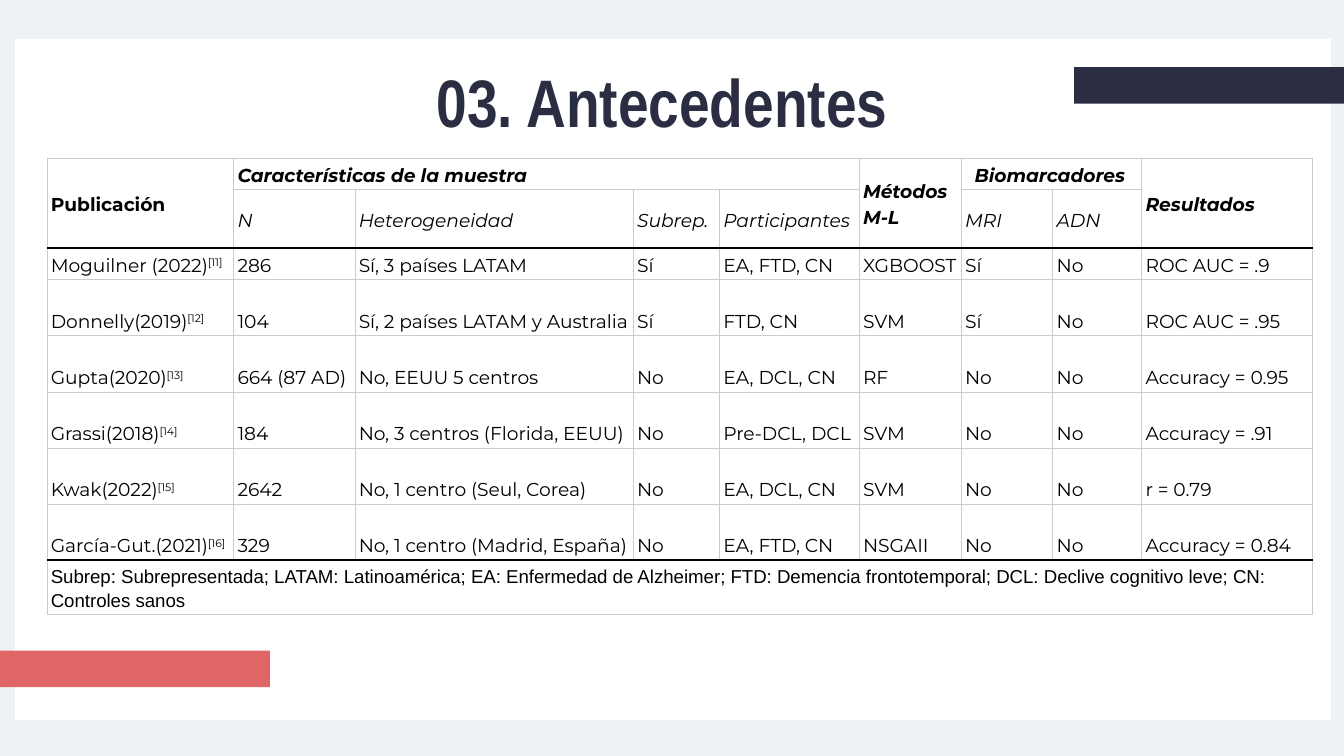
from lxml.etree import SubElement
from pptx import Presentation
from pptx.dml.color import RGBColor
from pptx.enum.shapes import MSO_SHAPE as Preset
from pptx.enum.text import MSO_ANCHOR as Anchor, PP_ALIGN as Align
from pptx.oxml.ns import qn
from pptx.util import Cm, Pt

NAVY, CORAL, PALE, WHITE = "2B2D42", "E06666", "EDF2F4", "FFFFFF"
BLACK, GREY = "000000", "CCCCCC"

COLUMNS = [3.53, 2.29, 5.26, 1.63, 2.64, 1.93, 1.73, 1.68, 3.23]
ROWS = [0.6, 1.1, 0.6] + [1.06] * 5 + [1.02]
# row, column, text, italic, row span, column span, side margin
GROUPS = [
    (0, 0, "Publicación", False, 2, 1, 0.07),
    (0, 1, "Características de la muestra", True, 1, 4, 0.07),
    (0, 5, "Métodos M-L", True, 2, 1, 0.07),
    (0, 6, "Biomarcadores", True, 1, 2, 0.25),
    (0, 8, "Resultados", True, 2, 1, 0.07),
]
SUBHEADS = {1: "N", 2: "Heterogeneidad", 3: "Subrep.", 4: "Participantes",
            6: "MRI", 7: "ADN"}
STUDIES = [
    ("Moguilner (2022)", "286", "Sí, 3 países LATAM", "Sí", "EA, FTD, CN",
     "XGBOOST", "Sí", "No", "ROC AUC = .9"),
    ("Donnelly(2019)", "104", "Sí, 2 países LATAM y Australia", "Sí", "FTD, CN",
     "SVM", "Sí", "No", "ROC AUC = .95"),
    ("Gupta(2020)", "664 (87 AD)", "No, EEUU 5 centros", "No", "EA, DCL, CN",
     "RF", "No", "No", "Accuracy = 0.95"),
    ("Grassi(2018)", "184", "No, 3 centros (Florida, EEUU)", "No", "Pre-DCL, DCL",
     "SVM", "No", "No", "Accuracy = .91"),
    ("Kwak(2022)", "2642", "No, 1 centro (Seul, Corea)", "No", "EA, DCL, CN",
     "SVM", "No", "No", "r = 0.79"),
    ("García-Gut.(2021)", "329", "No, 1 centro (Madrid, España)", "No", "EA, FTD, CN",
     "NSGAII", "No", "No", "Accuracy = 0.84"),
]
FIRST_REFERENCE = 11
FIRST_STUDY_ROW = 2
ABBREVIATIONS = (
    "Subrep: Subrepresentada; LATAM: Latinoamérica; EA: Enfermedad de Alzheimer; "
    "FTD: Demencia frontotemporal; DCL: Declive cognitivo leve; CN: Controles sanos"
)


def color(value):
    return RGBColor.from_string(value)


def add_span(para, text, name="Montserrat", size=10, ink=BLACK, bold=False, italic=False):
    span = para.add_run()
    span.text = text
    font = span.font
    font.name, font.size, font.bold, font.italic = name, Pt(size), bold, italic
    font.color.rgb = color(ink)
    return span


def add_block(page, left, top, width, height, fill):
    block = page.shapes.add_shape(Preset.RECTANGLE, Cm(left), Cm(top), Cm(width), Cm(height))
    block.shadow.inherit = False
    block.fill.solid()
    block.fill.fore_color.rgb = color(fill)
    block.line.fill.background()


def add_backdrop(page, width, height):
    page.background.fill.solid()
    page.background.fill.fore_color.rgb = color(PALE)
    bar_width, bar_height = 5.1, 0.69
    add_block(page, 0.28, 0.73, width - 0.52, height - 1.4, WHITE)
    add_block(page, 0, height - 1.99, bar_width, bar_height, CORAL)
    add_block(page, width - bar_width, 1.27, bar_width, bar_height, NAVY)


def place_title(page, left, top, width, height):
    title = page.shapes.title
    title.element.getparent().append(title.element)  # in front of the white panel
    title.left, title.top, title.width, title.height = map(Cm, (left, top, width, height))
    frame = title.text_frame
    frame.vertical_anchor = Anchor.MIDDLE
    frame.margin_left = frame.margin_right = Cm(0.25)
    frame.margin_top = frame.margin_bottom = Cm(0.25)
    para = frame.paragraphs[0]
    para.alignment = Align.LEFT
    add_span(para, "03. Antecedentes", "Arial Narrow", 36, NAVY, bold=True)


def set_borders(cell, top, bottom):
    """Grey cell outline; top and bottom tell which edges are heavy black rules."""
    properties = cell._tc.get_or_add_tcPr()
    for side, heavy in (("L", False), ("R", False), ("T", top), ("B", bottom)):
        width = Pt(1.25) if heavy else Pt(0.62)
        line = SubElement(properties, qn(f"a:ln{side}"), w=str(int(width)))
        fill = SubElement(line, qn("a:solidFill"))
        SubElement(fill, qn("a:srgbClr"), val=BLACK if heavy else GREY)


def prepare_cell(cell, anchor, margin=0.07):
    """Formats the cell and returns its paragraph."""
    cell.vertical_anchor = anchor
    cell.margin_left = cell.margin_right = Cm(margin)
    cell.margin_top = cell.margin_bottom = Cm(0.05)
    para = cell.text_frame.paragraphs[0]
    para.line_spacing = 1.15
    return para


def add_studies_table(page, left, top):
    frame = page.shapes.add_table(len(ROWS), len(COLUMNS), Cm(left), Cm(top),
                                  Cm(sum(COLUMNS)), Cm(sum(ROWS)))
    table = frame.table
    table.first_row = table.horz_banding = False
    for column, width in zip(table.columns, COLUMNS):
        column.width = Cm(width)
    for row, height in zip(table.rows, ROWS):
        row.height = Cm(height)

    last = len(ROWS) - 1
    tall_columns = {column for _, column, _, _, rows, _, _ in GROUPS if rows == 2}
    for row in range(len(ROWS)):
        for column in range(len(COLUMNS)):
            cell = table.cell(row, column)
            ends_header = row == 1 or (row == 0 and column in tall_columns)
            set_borders(cell, row in (FIRST_STUDY_ROW, last), ends_header or row == last - 1)
            cell.fill.background()
            prepare_cell(cell, Anchor.MIDDLE if row < FIRST_STUDY_ROW else Anchor.BOTTOM)

    for row, column, text, italic, rows, columns, margin in GROUPS:
        cell = table.cell(row, column)
        cell.merge(table.cell(row + rows - 1, column + columns - 1))
        add_span(prepare_cell(cell, Anchor.MIDDLE, margin), text, bold=True, italic=italic)
    for column, text in SUBHEADS.items():
        add_span(table.cell(1, column).text_frame.paragraphs[0], text, italic=True)
    for index, study in enumerate(STUDIES):
        for column, text in enumerate(study):
            para = table.cell(FIRST_STUDY_ROW + index, column).text_frame.paragraphs[0]
            add_span(para, text)
            if column == 0:
                reference = add_span(para, f"[{FIRST_REFERENCE + index}]")
                reference.font._element.set("baseline", "30000")
    table.cell(last, 0).merge(table.cell(last, len(COLUMNS) - 1))
    add_span(table.cell(last, 0).text_frame.paragraphs[0], ABBREVIATIONS, "Arial")


def main():
    deck = Presentation()
    width, height = 25.4, 14.29
    deck.slide_width, deck.slide_height = Cm(width), Cm(height)
    page = deck.slides.add_slide(deck.slide_layouts.get_by_name("Title Only"))
    add_backdrop(page, width, height)
    place_title(page, 8, 1.04, 9.86, 1.73)
    add_studies_table(page, 0.89, 2.99)
    deck.save("out.pptx")


if __name__ == "__main__":
    main()
